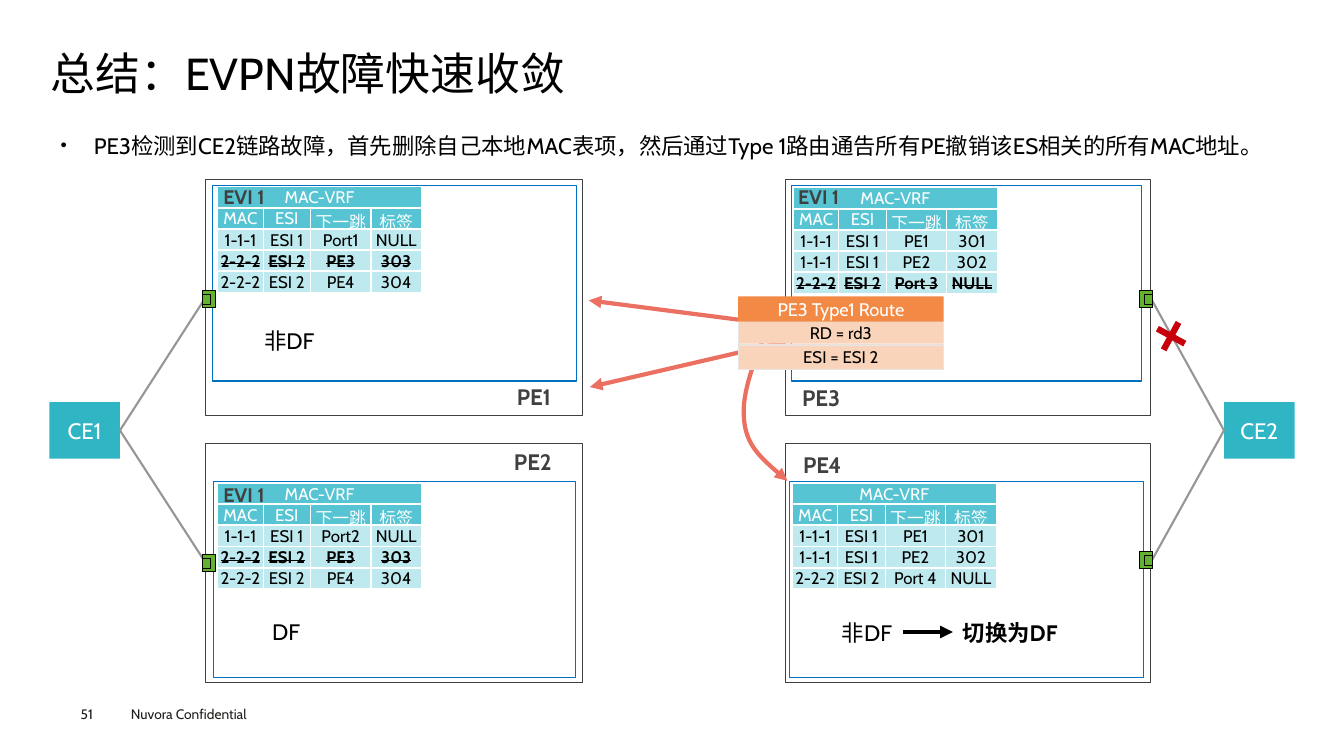
from dataclasses import dataclass
from typing import Optional

from lxml import etree
from pptx import Presentation
from pptx import util as u
from pptx.dml.color import RGBColor
from pptx.enum import shapes, text
from pptx.oxml import ns

PX = 9144  # EMU per px, 100 px to the inch
FONT = "Cabin"
COLORS = {
    "black": "000000", "white": "FFFFFF", "dark": "404040", "footer": "1D1D1B",
    "blue": "0070C0", "gray": "969696", "head": "56C4D2", "cell": "BEE9EE",
    "teal": "30B5C5", "green": "62B230", "red": "C7000B", "arrow": "EC7061",
    "orange": "F28944", "peach": "FAD3BB", "pale": "E7E6E6",
}
Rect = tuple[int, int, int, int]
Point = tuple[int, int]
RECT = shapes.MSO_SHAPE.RECTANGLE
LEFT, CENTER = text.PP_ALIGN.LEFT, text.PP_ALIGN.CENTER
COLUMNS = (45, 47, 60, 50)
ROW_HEIGHT = 21
HEADERS = ("MAC", "ESI", "下一跳", "标签")


@dataclass
class Node:
    name: str
    frame: Rect
    label: Point
    inner: Rect
    table: Point
    rows: list[tuple[str, str, str, str]]
    struck: Optional[int] = None  # index of the withdrawn row
    evi: Optional[Point] = None


@dataclass
class Port:
    left: int
    top: int
    inset: int
    turn: int


def peer_rows(port: str) -> list[tuple[str, str, str, str]]:
    return [("1-1-1", "ESI 1", port, "NULL"), ("2-2-2", "ESI 2", "PE3", "303"),
            ("2-2-2", "ESI 2", "PE4", "304")]


def local_rows(port: str) -> list[tuple[str, str, str, str]]:
    return [("1-1-1", "ESI 1", "PE1", "301"), ("1-1-1", "ESI 1", "PE2", "302"),
            ("2-2-2", "ESI 2", port, "NULL")]


NODES = [
    Node("PE1", (204, 178, 374, 234), (500, 375), (211, 184, 361, 194), (216, 185),
         peer_rows("Port1"), 1, (208, 179)),
    Node("PE2", (204, 440, 374, 237), (499, 440), (212, 478, 359, 194), (216, 479),
         peer_rows("Port2"), 1, (208, 474)),
    Node("PE3", (779, 178, 362, 234), (785, 376), (785, 184, 347, 194), (787, 186),
         local_rows("Port 3"), 2, (778, 179)),
    Node("PE4", (779, 440, 362, 237), (786, 443), (783, 478, 351, 194), (786, 479),
         local_rows("Port 4")),
]
PORTS = [Port(199, 290, 1, 90), Port(199, 552, 1, 90),
         Port(1128, 290, 6, 270), Port(1128, 549, 6, 270)]


def emu(*lengths: int) -> list[int]:
    return [length * PX for length in lengths]


def rgb(name: str) -> RGBColor:
    return RGBColor.from_string(COLORS[name])


def add_span(para, words: str, size: float, color: str, bold: bool = False, strike: bool = False) -> None:
    span = para.add_run()
    span.text = words
    span.font.name, span.font.size, span.font.bold = FONT, u.Pt(size), bold
    span.font.color.rgb = rgb(color)
    if strike:
        span._r.get_or_add_rPr().set("strike", "sngStrike")


def add_label(page, rect: Rect, words: str, size: float = 16, color: str = "black",
              bold: bool = False, wrap: bool = False, align=LEFT, inset: bool = True) -> None:
    frame = page.shapes.add_textbox(*emu(*rect)).text_frame
    frame.word_wrap = wrap
    if not inset:
        frame.margin_left = frame.margin_top = frame.margin_right = frame.margin_bottom = 0
    frame.paragraphs[0].alignment = align
    add_span(frame.paragraphs[0], words, size, color, bold)


def add_box(page, rect: Rect, fill: Optional[str] = None, line: Optional[str] = None, width: float = 1,
            words: str = "", size: float = 16, color: str = "white", kind=RECT, turn: float = 0):
    box = page.shapes.add_shape(kind, *emu(*rect))
    box.shadow.inherit = False
    box.rotation = turn
    if fill:
        box.fill.solid()
        box.fill.fore_color.rgb = rgb(fill)
    else:
        box.fill.background()
    if line:
        box.line.color.rgb, box.line.width = rgb(line), u.Pt(width)
    else:
        box.line.fill.background()
    if words:
        frame = box.text_frame
        frame.vertical_anchor = text.MSO_ANCHOR.MIDDLE
        frame.margin_top = frame.margin_bottom = 0
        frame.paragraphs[0].alignment = CENTER
        add_span(frame.paragraphs[0], words, size, color)
    return box


def style_line(line_shape, color: str, width: float, arrow: bool) -> None:
    line_shape.line.color.rgb, line_shape.line.width = rgb(color), u.Pt(width)
    properties = line_shape.element.spPr
    if arrow:
        etree.SubElement(properties.find(ns.qn("a:ln")), ns.qn("a:tailEnd"), type="triangle")
    if properties.find(ns.qn("a:effectLst")) is None:
        etree.SubElement(properties, ns.qn("a:effectLst"))


def add_line(page, start: Point, end: Point, color: str, width: float, arrow: bool = False):
    line = page.shapes.add_connector(shapes.MSO_CONNECTOR.STRAIGHT, *emu(*start, *end))
    style_line(line, color, width, arrow)
    return line


def add_curve(page, start: Point, points: list[Point], color: str, width: float) -> None:
    builder = page.shapes.build_freeform(*start, scale=PX)
    builder.add_line_segments(points, close=False)
    curve = builder.convert_to_shape()
    curve.shadow.inherit = False
    curve.fill.background()
    segments = list(curve.element.iter(ns.qn("a:lnTo")))
    for first in range(0, len(segments), 3):
        bezier = etree.Element(ns.qn("a:cubicBezTo"))
        segments[first].addprevious(bezier)
        for segment in segments[first:first + 3]:
            bezier.append(segment[0])
            segment.getparent().remove(segment)
    style_line(curve, color, width, True)


def fill_cell(cell, words: str, fill: str, color: str, strike: bool = False) -> None:
    cell.margin_left = cell.margin_right = cell.margin_top = PX
    cell.margin_bottom = 0
    cell.vertical_anchor = text.MSO_ANCHOR.MIDDLE
    cell.fill.solid()
    cell.fill.fore_color.rgb = rgb(fill)
    properties = cell._tc.get_or_add_tcPr()
    for index, (side, width) in enumerate((("L", 1), ("R", 1), ("T", 1.5), ("B", 1.5))):
        border = etree.Element(ns.qn(f"a:ln{side}"), w=str(u.Pt(width)))
        solid = etree.SubElement(border, ns.qn("a:solidFill"))
        etree.SubElement(solid, ns.qn("a:srgbClr"), val=COLORS["white"])
        properties.insert(index, border)
    para = cell.text_frame.paragraphs[0]
    para.alignment = CENTER
    if words:
        add_span(para, words, 12, color, strike, strike)


def add_mac_table(page, node: Node) -> None:
    rows = [("MAC-VRF", "", "", ""), HEADERS, *node.rows]
    size = (sum(COLUMNS), ROW_HEIGHT * len(rows))
    table = page.shapes.add_table(len(rows), len(COLUMNS), *emu(*node.table, *size)).table
    table.first_row = table.horz_banding = False
    for column, width in zip(table.columns, COLUMNS):
        column.width = width * PX
    for index, row in enumerate(rows):
        table.rows[index].height = ROW_HEIGHT * PX
        fill, color = ("head", "white") if index < 2 else ("cell", "black")
        for position, words in enumerate(row):
            fill_cell(table.cell(index, position), words, fill, color, node.struck == index - 2)
    table.cell(0, 0).merge(table.cell(0, len(COLUMNS) - 1))


def add_heading(page) -> None:
    title, body = page.shapes.title, page.placeholders[1]
    for holder, rect in ((title, (50, 49, 1235, 53)), (body, (50, 115, 1235, 534))):
        holder.left, holder.top, holder.width, holder.height = emu(*rect)
        holder.text_frame.auto_size = text.MSO_AUTO_SIZE.NONE
    frame = title.text_frame
    frame.margin_left = frame.margin_top = frame.margin_right = frame.margin_bottom = 0
    frame.vertical_anchor = text.MSO_ANCHOR.MIDDLE
    para = frame.paragraphs[0]
    para.alignment, para.line_spacing = LEFT, 0.9
    add_span(para, "总结：EVPN故障快速收敛", 32, "black")

    para = body.text_frame.paragraphs[0]
    para.alignment, para.line_spacing, para.space_before = text.PP_ALIGN.JUSTIFY, 1.4, u.Pt(0)
    properties = para._p.get_or_add_pPr()
    properties.set("marL", str(33 * PX))
    properties.set("indent", str(-33 * PX))
    etree.SubElement(properties, ns.qn("a:buSzPct"), val="50000")
    etree.SubElement(properties, ns.qn("a:buChar"), char="●")
    add_span(para, "PE3检测到CE2链路故障，首先删除自己本地MAC表项，然后通过Type 1路由通告所有PE"
             "撤销该ES相关的所有MAC地址。", 16, "black")


def main() -> None:
    deck = Presentation()
    deck.slide_width, deck.slide_height = emu(1333, 750)
    page = deck.slides.add_slide(deck.slide_layouts[1])
    add_heading(page)
    # Footer
    add_label(page, (120, 695, 160, 27), "Nuvora Confidential", 9.8, "footer")
    add_label(page, (80, 700, 55, 16), "51", 9.8, "footer", inset=False)
    # Provider edges with their MAC tables
    frames = {}
    for node in NODES:
        frames[node.name] = add_box(page, node.frame, line="dark")
        add_box(page, node.inner, line="blue")
        add_label(page, (*node.label, 59, 37), node.name, 16, "dark", True, align=CENTER)
        add_mac_table(page, node)
        if node.evi:
            add_label(page, (*node.evi, 68, 34), "EVI 1", 14, "dark", True, align=CENTER)
    # Customer edges and their links
    for name, left, side, peers in (("CE1", 49, 3, ("PE1", "PE2")), ("CE2", 1214, 1, ("PE3", "PE4"))):
        customer = add_box(page, (left, 399, 70, 56), "teal", words=name)
        for peer in peers:
            link = add_line(page, (0, 0), (1, 1), "gray", 1.5)
            link.begin_connect(frames[peer], 4 - side)
            link.end_connect(customer, side)
    for port in PORTS:
        add_box(page, (port.left, port.top, 17, 13), "green", "black", turn=port.turn)
        add_box(page, (port.left + port.inset, port.top + 3, 10, 8), "green", "black", turn=port.turn)
    # Forwarder roles
    add_label(page, (252, 320, 72, 37), "非DF", wrap=True)
    add_label(page, (260, 608, 49, 37), "DF")
    add_label(page, (825, 609, 72, 37), "非DF", wrap=True)
    add_label(page, (945, 609, 116, 37), "切换为DF", bold=True, wrap=True)
    add_line(page, (896, 627), (945, 627), "black", 3, True)
    # Failure mark and route withdrawal
    cross = add_box(page, (1146, 318, 31, 31), "red", kind=shapes.MSO_SHAPE.CROSS, turn=28.6)
    cross.adjustments[0] = 0.4
    add_line(page, (778, 323), (584, 298), "arrow", 3, True)
    add_line(page, (779, 339), (585, 384), "arrow", 3, True)
    add_curve(page, (766, 316), [(750, 352), (735, 389), (738, 416), (740, 442), (761, 460), (781, 477)],
              "arrow", 3)
    add_box(page, (732, 319, 204, 22), "peach", "pale", 0.25, "RD = rd3", 12, "black")
    add_box(page, (732, 342, 204, 24), "peach", "pale", 0.25, "ESI = ESI 2", 12, "black")
    add_box(page, (732, 294, 204, 25), "orange", words="PE3 Type1 Route", size=13)
    deck.save("out.pptx")


if __name__ == "__main__":
    main()
